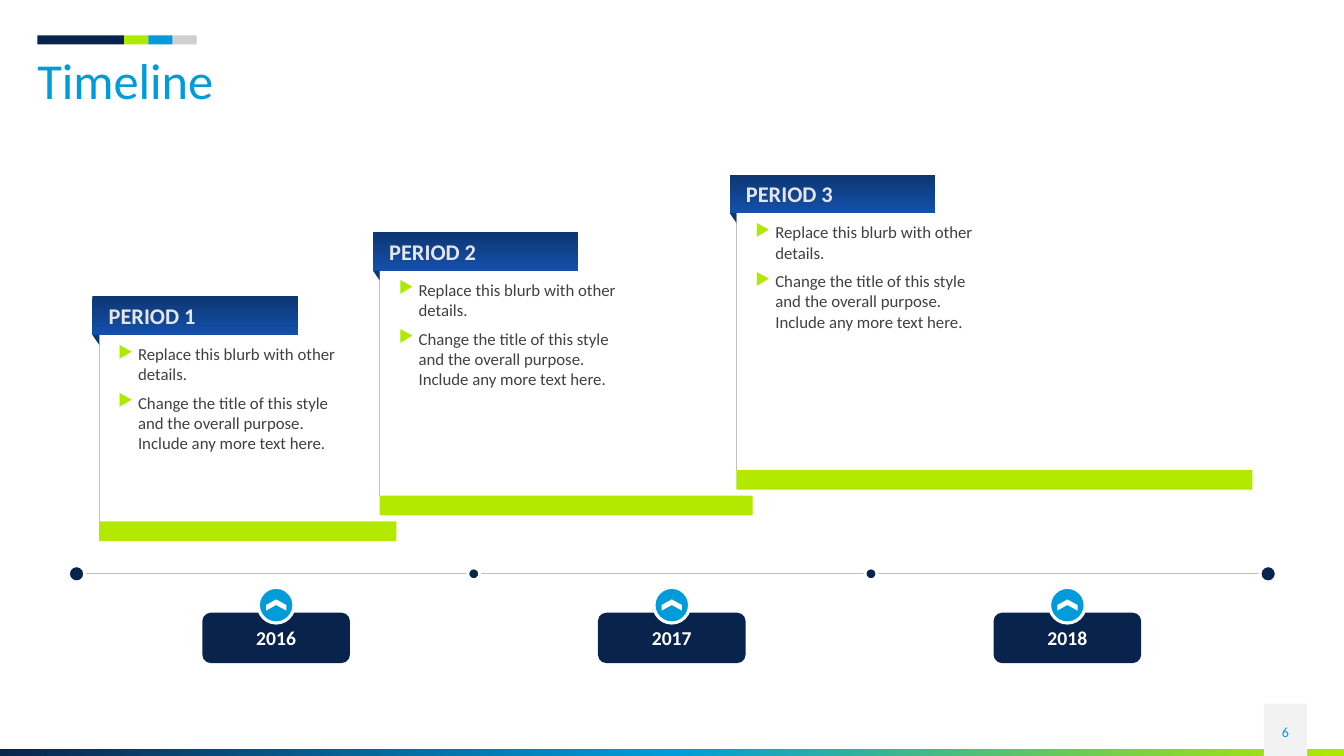
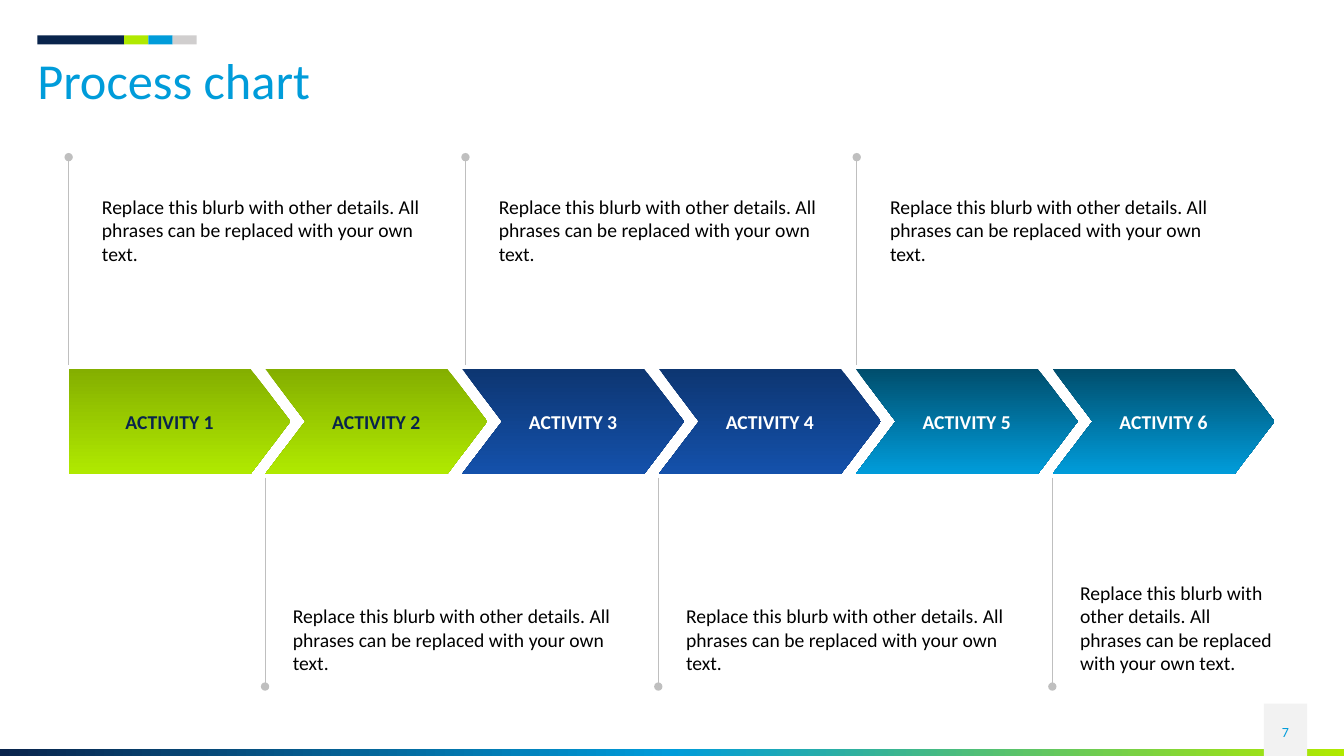
from lxml import etree
from pptx import Presentation
from pptx import util as u
from pptx.dml.color import RGBColor
from pptx.enum import shapes as kinds
from pptx.enum import text as t
from pptx.oxml.ns import qn

NAVY, BLUE, LIME, GREY = "09244C", "009CDA", "B0E900", "BFBFBF"
WHITE = "FFFFFF"
ROYAL_FADE = ["0D3672", "1451AB"]
LIME_FADE = ["84AF00", LIME]
BLUE_FADE = ["004E6D", BLUE]
KIND = kinds.MSO_SHAPE
LEFT, CENTER = t.PP_ALIGN.LEFT, t.PP_ALIGN.CENTER
TOP, MIDDLE, BOTTOM = t.MSO_ANCHOR.TOP, t.MSO_ANCHOR.MIDDLE, t.MSO_ANCHOR.BOTTOM


def put(parent, kind, left, top, width, height, fill=None, angle=270, line=None, line_width=2,
        text="", size=14, color="000000", bold=False, align=LEFT, anchor=TOP,
        insets=(0, 0, 0, 0), before=0, after=0):
    box = [u.Cm(value) for value in (left, top, width, height)]
    if kind is None:
        item = parent.shapes.add_textbox(*box)
    else:
        item = parent.shapes.add_shape(kind, *box)
        item.shadow.inherit = False
        if isinstance(fill, list):
            item.fill.gradient()
            item.fill.gradient_angle = angle
            stops = item.element.spPr.find(".//" + qn("a:gsLst"))
            stops.clear()
            for index, shade in enumerate(fill):
                position = str(100000 * index // (len(fill) - 1))
                stop = etree.SubElement(stops, qn("a:gs"), pos=position)
                etree.SubElement(stop, qn("a:srgbClr"), val=shade)
        else:
            item.fill.solid()
            item.fill.fore_color.rgb = RGBColor.from_string(fill)
        if line:
            item.line.color.rgb = RGBColor.from_string(line)
            item.line.width = u.Pt(line_width)
        else:
            item.line.fill.background()
    if text:
        frame = item.text_frame
        frame.text = text
        frame.word_wrap = True
        frame.vertical_anchor = anchor
        (frame.margin_left, frame.margin_top,
         frame.margin_right, frame.margin_bottom) = [u.Cm(value) for value in insets]
        for paragraph in frame.paragraphs:
            paragraph.alignment = align
            paragraph.space_before = u.Pt(before)
            paragraph.space_after = u.Pt(after)
            paragraph.font.name = "Calibri"
            paragraph.font.size = u.Pt(size)
            paragraph.font.bold = bold
            paragraph.font.color.rgb = RGBColor.from_string(color)
    return item


def rule(parent, x1, y1, x2, y2, dotted_end=False):
    thread = parent.shapes.add_connector(
        kinds.MSO_CONNECTOR.STRAIGHT, u.Cm(x1), u.Cm(y1), u.Cm(x2), u.Cm(y2))
    thread.line.color.rgb = RGBColor.from_string(GREY)
    thread.line.width = u.Pt(0.75)
    if dotted_end:
        etree.SubElement(thread.line._get_or_add_ln(), qn("a:tailEnd"), type="oval")
    etree.SubElement(thread.element.spPr, qn("a:effectLst"))


deck = Presentation()
deck.slide_width, deck.slide_height = u.Cm(33.87), u.Cm(19.05)

pages = []
for number, heading in [(6, "Timeline"), (7, "Process chart")]:
    page = deck.slides.add_slide(deck.slide_layouts[6])
    put(page, KIND.RECTANGLE, 0, 18.87, 33.87, 0.18, [NAVY, BLUE, LIME], angle=0)
    put(page, KIND.RECTANGLE, 31.85, 17.73, 1.09, 1.32, "F2F2F2")
    band_left = 0.94
    for shade, band_width in [(NAVY, 2.19), (LIME, 0.61), (BLUE, 0.61), ("D0CECE", 0.61)]:
        put(page, KIND.RECTANGLE, band_left, 0.89, band_width, 0.23, shade)
        band_left += band_width
    title = put(page, None, 0.94, 1.42, 32, 1.4, text=heading, size=36, color=BLUE)
    title.text_frame.paragraphs[0].line_spacing = 0.9
    put(page, None, 31.85, 17.93, 1.09, 1.02, text=str(number), size=10, color=BLUE,
        align=CENTER, anchor=MIDDLE)
    pages.append(page)
timeline, process = pages

AXIS = 14.46
rule(timeline, 1.74, AXIS, 32.13, AXIS)
for index, diameter in enumerate([0.41, 0.3, 0.3, 0.41]):
    put(timeline, KIND.OVAL, 1.93 + 10.01 * index - diameter / 2, AXIS - diameter / 2,
        diameter, diameter, NAVY, line=WHITE)

for index in range(3):
    middle = 6.96 + 9.97 * index
    put(timeline, KIND.ROUNDED_RECTANGLE, middle - 1.86, 15.44, 3.72, 1.27, NAVY,
        text=str(2016 + index), color=WHITE, bold=True, align=CENTER, anchor=MIDDLE, before=5.3)
    badge = timeline.shapes.add_group_shape()
    put(badge, KIND.OVAL, middle - 0.45, 14.8, 0.9, 0.9, BLUE, line=WHITE, line_width=2.25)
    arrow = put(badge, KIND.CHEVRON, middle - 0.14, 14.99, 0.28, 0.51, WHITE)
    arrow.rotation = 270

details = ("Replace this blurb with other details.\n"
           "Change the title of this style and the overall purpose. Include any more text here.")
periods = [(2.33, 7.47, 7.49), (9.4, 5.85, 9.4), (18.39, 4.4, 13)]
for index, (left, top, span) in enumerate(periods):
    stem, base = left + 0.17, 13.14 - 0.65 * index
    rule(timeline, stem, base, stem, top + 0.43)
    put(timeline, KIND.RECTANGLE, stem, base, span, 0.5, "B3E900")
    put(timeline, KIND.RECTANGLE, left, top, 5.18, 0.97, ROYAL_FADE,
        text=f"PERIOD {index + 1}", size=16, color="E7E6E6", bold=True, anchor=MIDDLE,
        insets=(0.41, 0.2, 0.2, 0.2), before=5.3)
    fold = put(timeline, KIND.RIGHT_TRIANGLE, left, top + 0.97, 0.17, 0.25, ROYAL_FADE[0])
    fold.rotation = 180
    blurb = put(timeline, None, left + 0.65, top + 1.2, 5.84, 3.07, text=details, size=12,
                color="404040", before=6)
    for paragraph in blurb.text_frame.paragraphs:
        bullet = paragraph._p.get_or_add_pPr()
        bullet.set("marL", str(u.Cm(0.5)))
        bullet.set("indent", str(u.Cm(-0.5)))
        etree.SubElement(etree.SubElement(bullet, qn("a:buClr")), qn("a:srgbClr"), val=LIME)
        etree.SubElement(bullet, qn("a:buChar"), char="▶")

note = "Replace this blurb with other details. All phrases can be replaced with your own text."
looks = [(LIME_FADE, NAVY), (ROYAL_FADE, WHITE), (BLUE_FADE, WHITE)]
stems = [1.73, 6.68, 11.73, 16.59, 21.59, 26.52]
for index, stem in enumerate(stems):
    fade, ink = looks[index // 2]
    step = put(process, KIND.CHEVRON if index else KIND.PENTAGON, 1.73 + 4.96 * index, 9.3,
               5.59, 2.64, fade, text=f"ACTIVITY {index + 1}", color=ink, bold=True,
               align=CENTER, anchor=MIDDLE, insets=(0.3, 0.2, 0.3, 0.2))
    step.adjustments[0] = 0.38
    if index % 2 == 0:
        rule(process, stem, 9.19, stem, 3.96, dotted_end=True)
        note_left, note_top, note_width, note_height, anchor = stem + 0.54, 4.9, 9.19, 1.8, TOP
    else:
        rule(process, stem, 12.04, stem, 17.3, dotted_end=True)
        note_width, note_height = (5.51, 2.4) if index == 5 else (9.19, 1.8)
        note_left, note_top, anchor = stem + 0.4, 17 - note_height, BOTTOM
    put(process, None, note_left, note_top, note_width, note_height, text=note, anchor=anchor,
        insets=(0.3, 0, 0.3, 0), before=3, after=3)

deck.save("out.pptx")
